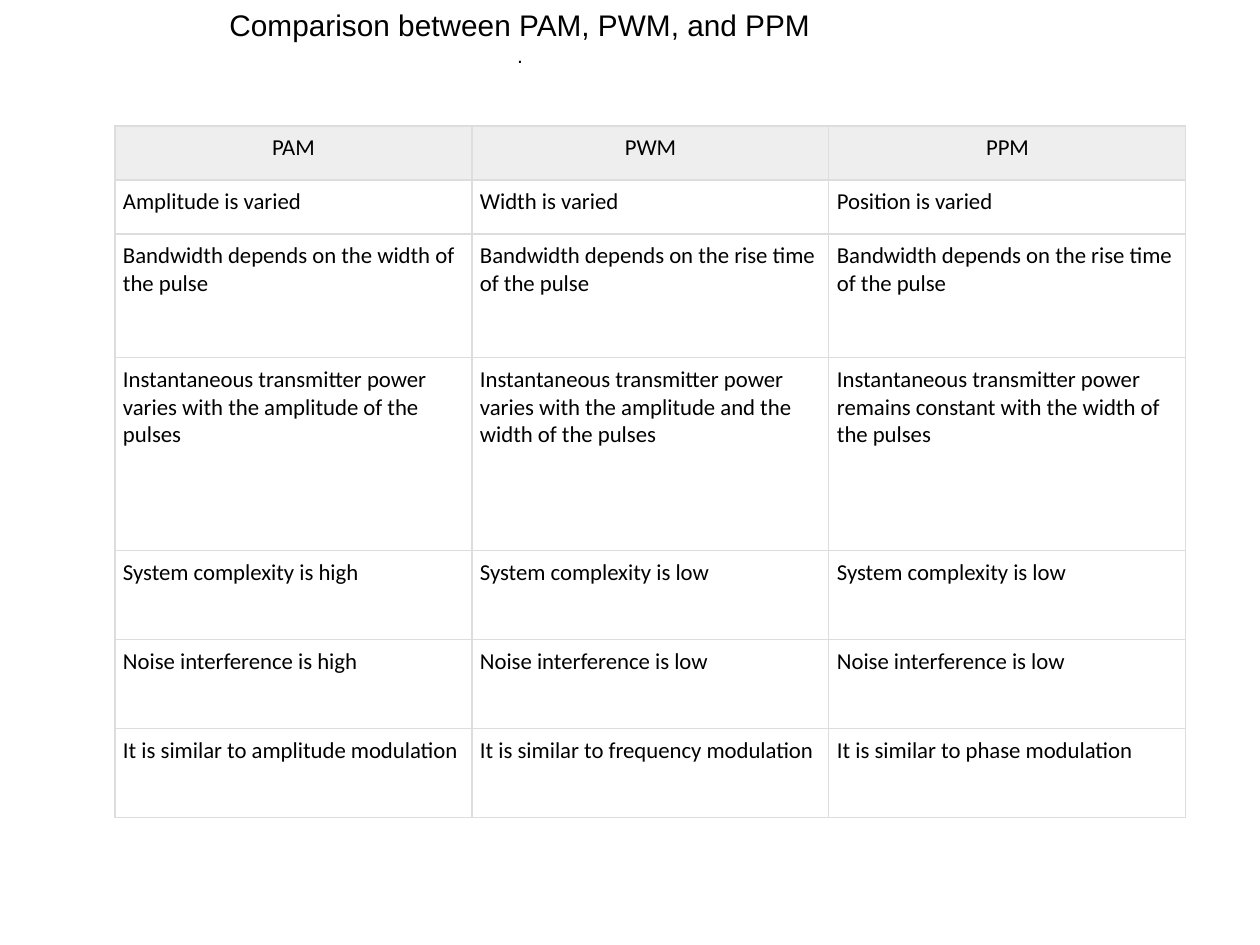
from lxml.etree import SubElement as Sub
from pptx import Presentation
from pptx.dml.color import RGBColor
from pptx.enum.text import MSO_ANCHOR as Anchor, MSO_AUTO_SIZE as Fit, PP_ALIGN as Align
from pptx.oxml.ns import qn
from pptx.util import Pt

PX = 914400 / 126
BLACK = RGBColor(0x00, 0x00, 0x00)
GREY = RGBColor(0xEE, 0xEE, 0xEE)
LINE = RGBColor(0xDD, 0xDD, 0xDD)

HEADS = ["PAM", "PWM", "PPM"]
ROWS = [
    (54, HEADS),
    (54, [f"{part} is varied" for part in ("Amplitude", "Width", "Position")]),
    (124, [f"Bandwidth depends on the {part} of the pulse"
           for part in ("width", "rise time", "rise time")]),
    (193, [f"Instantaneous transmitter power {part} of the pulses"
           for part in ("varies with the amplitude",
                        "varies with the amplitude and the width",
                        "remains constant with the width")]),
    (89, [f"System complexity is {part}" for part in ("high", "low", "low")]),
    (89, [f"Noise interference is {part}" for part in ("high", "low", "low")]),
    (89, [f"It is similar to {part} modulation"
          for part in ("amplitude", "frequency", "phase")]),
]


def px(num):
    """Turn pixels into EMU."""
    return round(num * PX)


def write(para, text, size=13, font="Calibri", align=Align.LEFT, color=BLACK):
    """Put one formatted run into a paragraph."""
    para.alignment = align
    run = para.add_run()
    run.text = text
    run.font.size = Pt(size)
    run.font.name = font
    run.font.color.rgb = color


def edge(cell, color=LINE, width=0.75):
    """Draw the four borders of a cell."""
    props = cell._tc.get_or_add_tcPr()
    for side in "LRTB":
        line = Sub(props, qn(f"a:ln{side}"), w=str(Pt(width)))
        Sub(Sub(line, qn("a:solidFill")), qn("a:srgbClr"), val=str(color))


def add_title(slide, left, top, width, height):
    """Place the title and the small dot below it."""
    title = slide.shapes.title
    title.left, title.top, title.width, title.height = map(px, (left, top, width, height))
    frame = title.text_frame
    frame.word_wrap = True
    frame.auto_size = Fit.SHAPE_TO_FIT_TEXT
    frame.vertical_anchor = Anchor.MIDDLE
    style = {"font": "Arial", "align": Align.CENTER}
    write(frame.paragraphs[0], "Comparison between PAM, PWM, and PPM", size=17, **style)
    write(frame.add_paragraph(), ".", size=12, **style)


def add_grid(slide, left, top, width):
    """Place the comparison table with equal columns."""
    height = sum(size for size, _ in ROWS)
    table = slide.shapes.add_table(
        len(ROWS), len(HEADS), *map(px, (left, top, width, height))).table
    table.first_row = table.horz_banding = False
    for col in table.columns:
        col.width = px(width / len(HEADS))
    for i, (size, texts) in enumerate(ROWS):
        table.rows[i].height = px(size)
        for j, text in enumerate(texts):
            cell = table.cell(i, j)
            cell.margin_left = cell.margin_right = px(8)
            cell.margin_top = cell.margin_bottom = px(8)
            edge(cell)
            if i == 0:
                cell.fill.solid()
                cell.fill.fore_color.rgb = GREY
            else:
                cell.fill.background()
            write(cell.text_frame.paragraphs[0], text,
                  align=Align.LEFT if i else Align.CENTER)


def main():
    """Build the slide and save it."""
    deck = Presentation()
    deck.slide_width, deck.slide_height = px(1260), px(945)
    slide = deck.slides.add_slide(deck.slide_layouts[5])
    add_grid(slide, 115, 126, 1071)
    add_title(slide, 0, 0, 1040, 74)
    deck.save("out.pptx")


if __name__ == "__main__":
    main()
